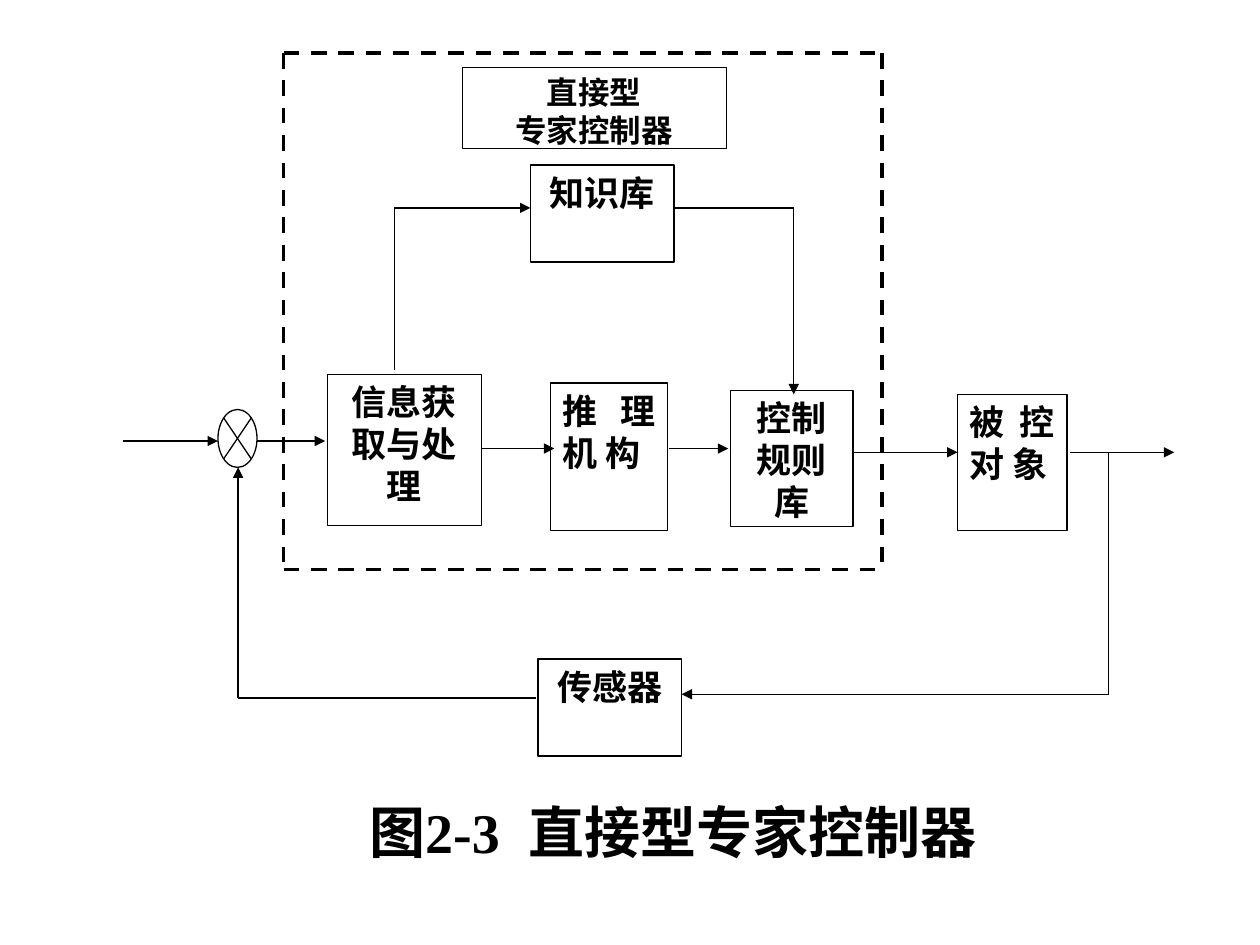
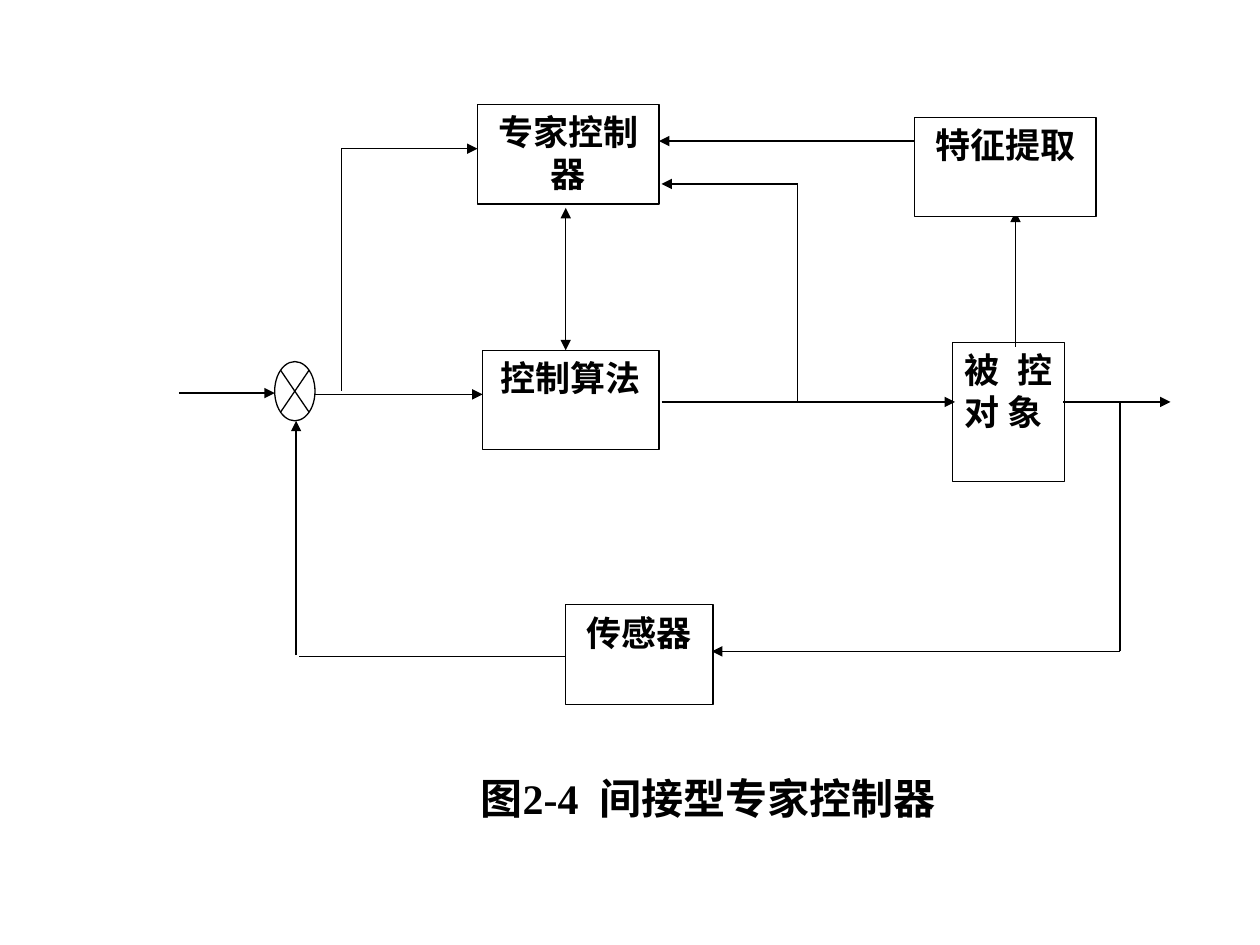
"""Draws two block diagrams of expert controllers."""
from lxml.etree import SubElement
from pptx import Presentation
from pptx.dml.color import RGBColor
from pptx.enum.dml import MSO_LINE
from pptx.enum.shapes import MSO_CONNECTOR, MSO_SHAPE
from pptx.enum.text import MSO_ANCHOR, MSO_AUTO_SIZE, PP_ALIGN
from pptx.oxml.ns import qn
from pptx.util import Inches, Pt

BLACK = RGBColor(0, 0, 0)
WHITE = RGBColor(255, 255, 255)
FONT = "Times New Roman"
COLS, ROWS = 100, 75


def write(frame, text, size=20, align=PP_ALIGN.CENTER, bold=True, color=BLACK):
    """Fills a text frame, one paragraph for each line."""
    frame.word_wrap = True
    frame.auto_size = MSO_AUTO_SIZE.NONE
    frame.vertical_anchor = MSO_ANCHOR.TOP
    frame.margin_left = frame.margin_right = Inches(0.1)
    frame.margin_top = frame.margin_bottom = Inches(0.05)
    frame.text = text
    for para in frame.paragraphs:
        para.alignment = align
        for run in para.runs:
            font = run.font
            font.name, font.size, font.bold = FONT, Pt(size), bold
            font.color.rgb = color


class Sketch:
    """Holds the deck, its line style and the current slide."""

    def __init__(self):
        self.deck = Presentation()
        self.deck.slide_width, self.deck.slide_height = Inches(10), Inches(7.5)
        self.thin = 0.75
        self.slide = None

    def x(self, col):
        """Turns columns into a length."""
        return round(self.deck.slide_width * col / COLS)

    def y(self, row):
        """Turns rows into a length."""
        return round(self.deck.slide_height * row / ROWS)

    def place(self, col, row, wide, high):
        """Turns a grid cell range into left, top, width and height."""
        return self.x(col), self.y(row), self.x(wide), self.y(high)

    def page(self, title, spot, size):
        """Starts a slide and sets its title as the caption."""
        self.slide = self.deck.slides.add_slide(self.deck.slide_layouts[5])
        head = self.slide.shapes.title
        head.left, head.top, head.width, head.height = self.place(*spot)
        write(head.text_frame, title, size=size)

    def shape(self, kind, spot, width):
        """Adds a white shape with a black outline."""
        item = self.slide.shapes.add_shape(kind, *self.place(*spot))
        item.shadow.inherit = False
        item.fill.solid()
        item.fill.fore_color.rgb = WHITE
        item.line.color.rgb = BLACK
        item.line.width = Pt(width)
        return item

    def box(self, text, *spot, width=None, **style):
        """Adds a labelled block."""
        item = self.shape(MSO_SHAPE.RECTANGLE, spot, width or self.thin)
        write(item.text_frame, text, **style)

    def sum(self, *spot):
        """Adds a summing point."""
        self.shape(MSO_SHAPE.FLOWCHART_SUMMING_JUNCTION, spot, self.thin)

    def line(self, start, end, ends=(), width=None, dash=False):
        """Adds a straight line with the given arrow ends."""
        item = self.slide.shapes.add_connector(
            MSO_CONNECTOR.STRAIGHT, self.x(start[0]), self.y(start[1]),
            self.x(end[0]), self.y(end[1]))
        item.line.color.rgb = BLACK
        item.line.width = Pt(width or self.thin)
        if dash:
            item.line.dash_style = MSO_LINE.DASH
        props = item.element.spPr
        for name in ends:
            SubElement(props.find(qn("a:ln")), qn(f"a:{name}End"), type="triangle")
        SubElement(props, qn("a:effectLst"))

    def wire(self, *points, ends=("tail",)):
        """Joins points by lines, with arrow ends on the last one."""
        last = len(points) - 2
        for i, pair in enumerate(zip(points, points[1:])):
            self.line(*pair, ends=ends if i == last else ())

    def frame(self, left, top, right, low):
        """Adds a dashed frame of four lines."""
        for col in (left, right):
            self.line((col, top), (col, low), width=2.25, dash=True)
        for row in (low, top):
            self.line((left, row), (right, row), width=2.25, dash=True)


def direct(art):
    """Draws the direct expert controller."""
    art.page("图2-3  直接型专家控制器", (20.9, 62.8, 65, 6.4), 32)
    art.box("知识库", 42.1, 13.1, 11.4, 7.7)
    art.box("信息获\n取与处理", 26, 29.7, 12.2, 12)
    art.box("推理机 构", 43.7, 30.4, 9.3, 11.7, align=PP_ALIGN.JUSTIFY)
    art.box("被控对 象", 76, 31.3, 8.7, 10.8, align=PP_ALIGN.JUSTIFY)
    art.box("传感器", 42.7, 52.3, 11.4, 7.7)
    art.box("控制\n规则库", 58, 31, 9.7, 10.8)
    art.sum(17.3, 32.5, 3.1, 4.6)
    flows = [(9.8, 17.3, 35), (20.4, 25.8, 35), (38.2, 44, 35.6),
             (53.1, 57.8, 35.6), (67.7, 76, 35.9), (84.9, 93.2, 35.9)]
    for left, right, row in flows:
        art.wire((left, row), (right, row))
    art.wire((31.3, 29.4), (31.3, 16.5), (42.1, 16.5))
    art.wire((53.5, 16.5), (63, 16.5), (63, 31.3))
    art.wire((88, 35.9), (88, 55.1), (54.1, 55.1))
    art.wire((42.5, 55.4), (18.9, 55.4), (18.9, 37.1))
    art.frame(22.5, 4.2, 70, 45.2)
    art.box("直接型\n专家控制器", 36.7, 5.3, 20.9, 6.5, width=0.25, size=18)


def remote(art):
    """Draws the indirect expert controller."""
    art.page("图2-4  间接型专家控制器", (25.8, 60.8, 60.8, 5), 24)
    art.box("专家控制器", 37.9, 8.3, 14.4, 7.9)
    art.box("被控对 象", 75.6, 27.2, 8.9, 11, align=PP_ALIGN.JUSTIFY)
    art.box("传感器", 44.9, 48, 11.7, 7.9)
    art.sum(21.8, 28.7, 3.2, 4.7)
    flows = [(14.2, 21.8, 31.2), (25, 38.3, 31.3),
             (52.5, 75.8, 31.9), (84.4, 92.9, 31.9)]
    for left, right, row in flows:
        art.wire((left, row), (right, row))
    art.wire((27.1, 31), (27.1, 11.8), (37.9, 11.8))
    art.wire((72.8, 11.2), (52.3, 11.2))
    art.wire((80.6, 27.5), (80.6, 16.8))
    art.wire((88.9, 31.9), (88.9, 51.7), (56.5, 51.7))
    art.line((44.9, 52.1), (23.7, 52.1), width=0.5)
    art.wire((23.5, 52), (23.5, 33.4))
    art.box("控制算法", 38.3, 27.8, 14, 7.9)
    art.box("特征提取", 72.6, 9.3, 14.4, 7.9)
    art.wire((44.9, 27.8), (44.9, 16.5), ends=("head", "tail"))
    art.wire((63.3, 31.9), (63.3, 14.6), (52.5, 14.6))


def main():
    """Builds and saves the deck."""
    art = Sketch()
    direct(art)
    remote(art)
    art.deck.save("out.pptx")


if __name__ == "__main__":
    main()
